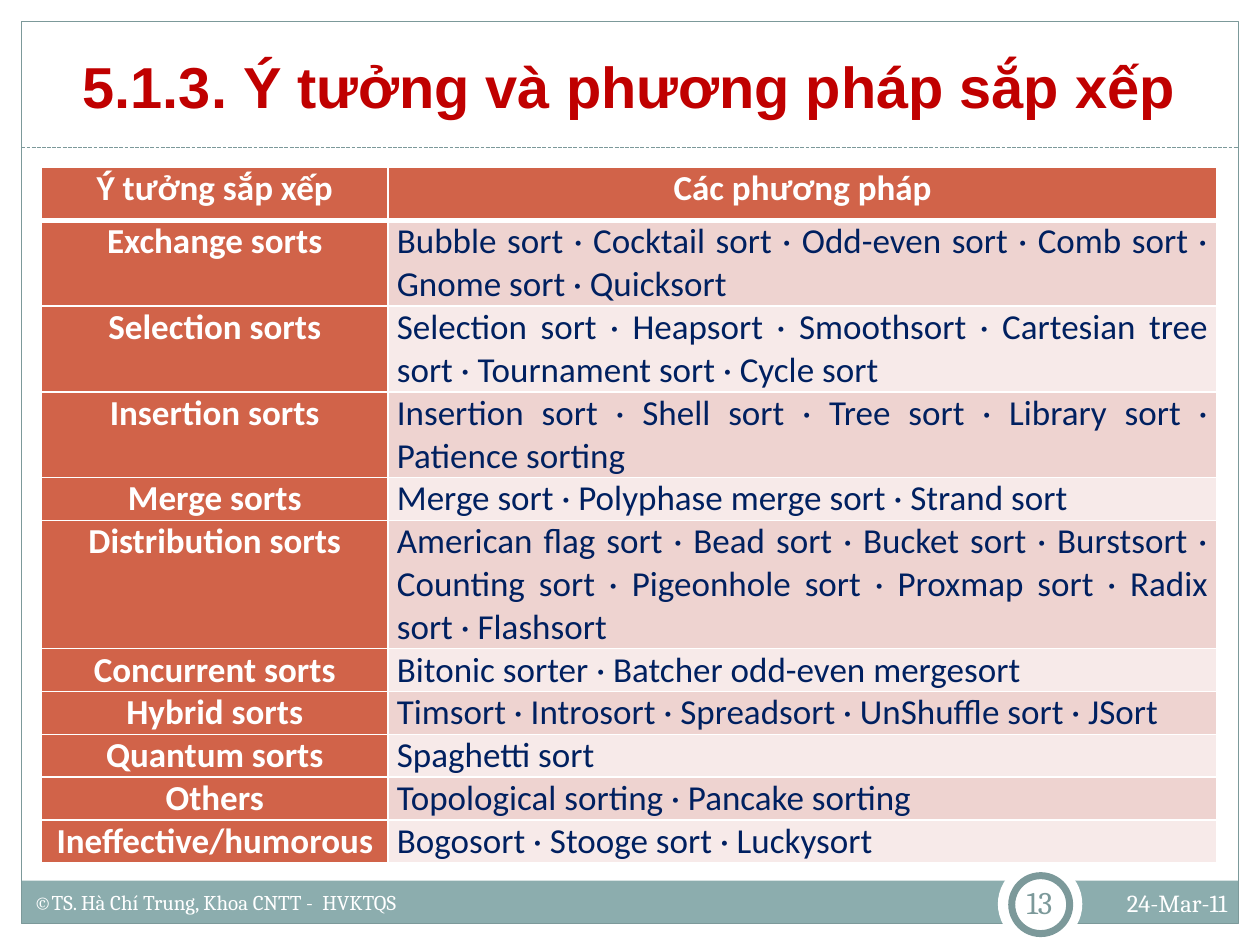
"""Build the slide that lists sorting ideas and their methods."""
from lxml import etree
from pptx import Presentation
from pptx.dml.color import RGBColor
from pptx.enum.dml import MSO_LINE
from pptx.enum.shapes import MSO_CONNECTOR, MSO_SHAPE
from pptx.enum.text import MSO_ANCHOR, PP_ALIGN
from pptx.oxml.ns import qn
from pptx.util import Inches, Pt

RECTANGLE, OVAL = MSO_SHAPE.RECTANGLE, MSO_SHAPE.OVAL
STRAIGHT, DASHED = MSO_CONNECTOR.STRAIGHT, MSO_LINE.SQUARE_DOT
TOP, MIDDLE, BOTTOM = MSO_ANCHOR.TOP, MSO_ANCHOR.MIDDLE, MSO_ANCHOR.BOTTOM
LEFT, CENTER, RIGHT, JUSTIFY = PP_ALIGN.LEFT, PP_ALIGN.CENTER, PP_ALIGN.RIGHT, PP_ALIGN.JUSTIFY

WHITE = RGBColor(0xFF, 0xFF, 0xFF)
SAGE = RGBColor(0x8C, 0xAD, 0xAE)
DARK_SAGE = RGBColor(0x7C, 0x99, 0x9A)
RED = RGBColor(0xC0, 0x00, 0x00)
RUST = RGBColor(0xD1, 0x63, 0x49)
NAVY = RGBColor(0x00, 0x20, 0x60)
BANDS = (RGBColor(0xEE, 0xD3, 0xD0), RGBColor(0xF7, 0xEA, 0xE9))

TITLE = "5.1.3. Ý tưởng và phương pháp sắp xếp"
AUTHOR = "©TS. Hà Chí Trung, Khoa CNTT -  HVKTQS"
DATE = "24-Mar-11"
PAGE = "13"
HEADINGS = ("Ý tưởng sắp xếp", "Các phương pháp")
SORTS = [
    ("Exchange sorts", "Bubble sort · Cocktail sort · Odd-even sort · Comb sort · Gnome sort · Quicksort", 2),
    ("Selection sorts", "Selection sort · Heapsort · Smoothsort · Cartesian tree sort · Tournament sort · Cycle sort", 2),
    ("Insertion sorts", "Insertion sort · Shell sort · Tree sort · Library sort · Patience sorting", 2),
    ("Merge sorts", "Merge sort · Polyphase merge sort · Strand sort", 1),
    ("Distribution sorts", "American flag sort · Bead sort · Bucket sort · Burstsort · Counting sort · "
     "Pigeonhole sort · Proxmap sort · Radix sort · Flashsort", 3),
    ("Concurrent sorts", "Bitonic sorter · Batcher odd-even mergesort", 1),
    ("Hybrid sorts", "Timsort · Introsort · Spreadsort · UnShuffle sort · JSort", 1),
    ("Quantum sorts", "Spaghetti sort", 1),
    ("Others", "Topological sorting · Pancake sorting", 1),
    ("Ineffective/humorous", "Bogosort · Stooge sort · Luckysort", 1),
]
COLUMN_WIDTHS = (2.75, 6.58)
HEADER_HEIGHT, LINE_HEIGHT = 0.42, 0.34


def style(paragraph, text, font, size, color, align, bold=False):
    paragraph.text = text
    paragraph.alignment = align
    paragraph.font.name = font
    paragraph.font.size = Pt(size)
    paragraph.font.bold = bold
    paragraph.font.color.rgb = color


def add_text(slide, box, text, font, size, color, align, anchor=TOP, bold=False, inset=0.1):
    frame = slide.shapes.add_textbox(*map(Inches, box)).text_frame
    frame.word_wrap = True
    frame.vertical_anchor = anchor
    frame.margin_left = frame.margin_right = Inches(inset)
    style(frame.paragraphs[0], text, font, size, color, align, bold)


def add_panel(slide, kind, box, fill=None, line_width=None):
    panel = slide.shapes.add_shape(kind, *map(Inches, box))
    panel.shadow.inherit = False
    if fill is None:
        panel.fill.background()
    else:
        panel.fill.solid()
        panel.fill.fore_color.rgb = fill
    if line_width is None:
        panel.line.fill.background()
    else:
        panel.line.color.rgb = DARK_SAGE
        panel.line.width = Pt(line_width)


def add_divider(slide, left, right, y):
    divider = slide.shapes.add_connector(STRAIGHT, Inches(left), Inches(y), Inches(right), Inches(y))
    divider.line.color.rgb = DARK_SAGE
    divider.line.width = Pt(0.75)
    divider.line.dash_style = DASHED
    etree.SubElement(divider._element.spPr, qn("a:effectLst"))


def set_borders(cell, widths):
    properties = cell._tc.get_or_add_tcPr()
    for side, width in widths.items():
        border = etree.SubElement(properties, qn(f"a:ln{side}"), w=str(Pt(width)))
        fill = etree.SubElement(border, qn("a:solidFill"))
        etree.SubElement(fill, qn("a:srgbClr"), val=str(WHITE))


def fill_cell(cell, text, fill, color, align, bold, top=1, bottom=1):
    set_borders(cell, {"L": 1, "R": 1, "T": top, "B": bottom})
    cell.fill.solid()
    cell.fill.fore_color.rgb = fill
    cell.margin_left = cell.margin_right = Inches(0.07)
    cell.margin_top = cell.margin_bottom = 0
    style(cell.text_frame.paragraphs[0], text, "Calibri", 20, color, align, bold)


def add_sorts_table(slide):
    heights = [HEADER_HEIGHT] + [LINE_HEIGHT * lines for _, _, lines in SORTS]
    box = (0.33, 1.33, sum(COLUMN_WIDTHS), sum(heights))
    table = slide.shapes.add_table(len(heights), len(COLUMN_WIDTHS), *map(Inches, box)).table
    for column, width in zip(table.columns, COLUMN_WIDTHS):
        column.width = Inches(width)
    for row, height in zip(table.rows, heights):
        row.height = Inches(height)
    for column, heading in enumerate(HEADINGS):
        fill_cell(table.cell(0, column), heading, RUST, WHITE, CENTER, True, bottom=3)
    for row, (idea, methods, _) in enumerate(SORTS, 1):
        top = 3 if row == 1 else 1
        fill_cell(table.cell(row, 0), idea, RUST, WHITE, CENTER, True, top)
        fill_cell(table.cell(row, 1), methods, BANDS[(row - 1) % 2], NAVY, JUSTIFY, False, top)


def main():
    deck = Presentation()
    deck.slide_width, deck.slide_height = Inches(10), Inches(7.5)
    slide = deck.slides.add_slide(deck.slide_layouts[6])

    add_panel(slide, RECTANGLE, (0.17, 6.99, 9.66, 0.34), SAGE)
    add_panel(slide, RECTANGLE, (0.17, 0.17, 9.66, 7.16), line_width=0.75)
    add_divider(slide, 0.17, 9.83, 1.17)
    add_panel(slide, OVAL, (7.92, 6.84, 0.67, 0.67), WHITE)
    add_panel(slide, OVAL, (8.03, 6.95, 0.46, 0.46), WHITE, 4)

    add_text(slide, (0.33, 0.25, 9.33, 0.75), TITLE, "Arial", 33, RED, CENTER, BOTTOM, True)
    add_text(slide, (8, 6.92, 0.5, 0.48), PAGE, "Cambria", 18, DARK_SAGE, CENTER, MIDDLE, inset=0.05)
    add_text(slide, (8.42, 7, 1.42, 0.33), DATE, "Cambria", 14, WHITE, RIGHT)
    add_text(slide, (0.17, 7.01, 6, 0.31), AUTHOR, "Cambria", 12, WHITE, LEFT)
    add_sorts_table(slide)
    deck.save("out.pptx")


if __name__ == "__main__":
    main()
